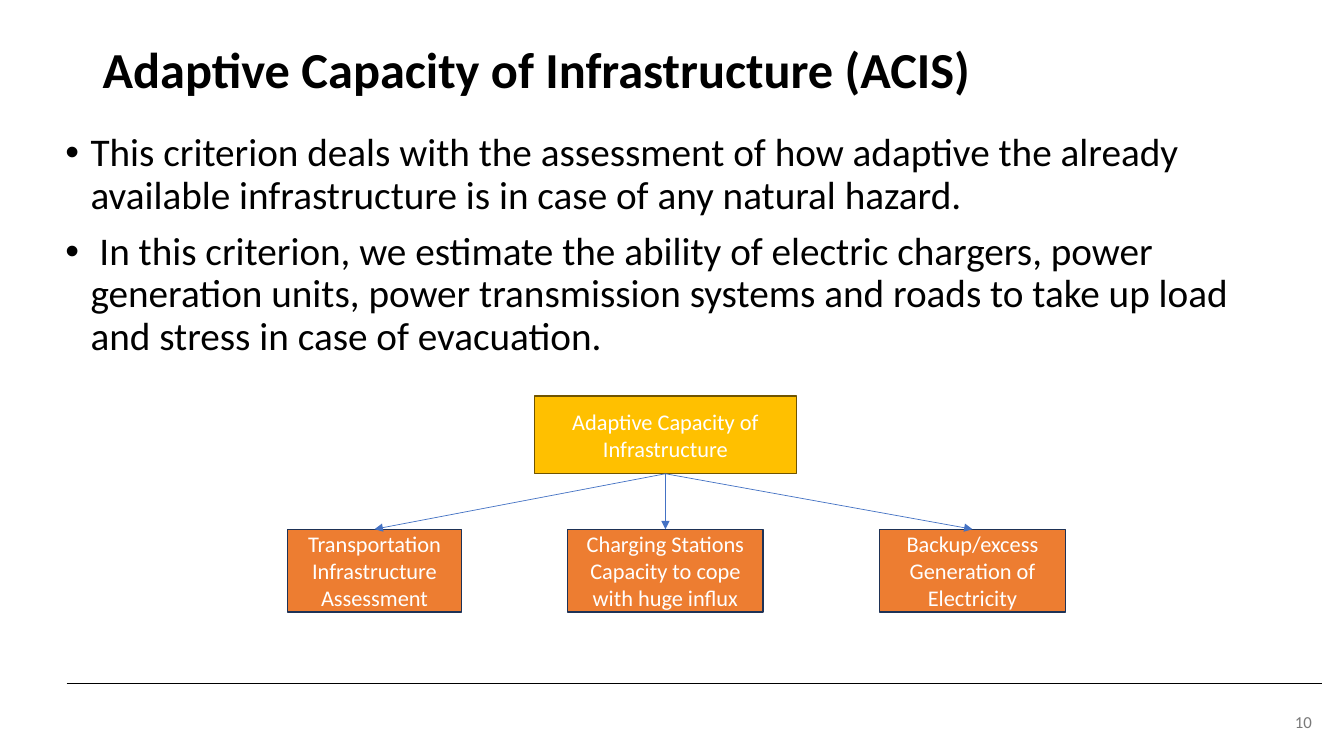
from dataclasses import dataclass

from lxml import etree
from pptx import Presentation
from pptx import util as u
from pptx.dml import color
from pptx.enum import shapes, text
from pptx.oxml import ns


@dataclass(frozen=True)
class Theme:
    font: str = "Calibri"
    ink: str = "000000"
    light: str = "FFFFFF"
    muted: str = "797979"
    root_fill: str = "FFC000"
    root_line: str = "705400"
    leaf_fill: str = "ED7D31"
    leaf_line: str = "1E3256"
    arrow: str = "4472C4"
    title_size: int = 36
    body_size: int = 28
    box_size: int = 16
    number_size: int = 12


THEME = Theme()
BULLETS = (
    "This criterion deals with the assessment of how adaptive the already "
    "available infrastructure is in case of any natural hazard.",
    " In this criterion, we estimate the ability of electric chargers, power "
    "generation units, power transmission systems and roads to take up load "
    "and stress in case of evacuation.",
)
LEAVES = (
    (2.85, 1.73, "Transportation Infrastructure Assessment"),
    (5.63, 1.94, "Charging Stations Capacity to cope with huge influx"),
    (8.72, 1.85, "Backup/excess Generation of Electricity"),
)


def rgb(value):
    return color.RGBColor.from_string(value)


def inches(values):
    return [u.Inches(value) for value in values]


def add_bullet(para):
    properties = para._p.get_or_add_pPr()
    properties.set("marL", str(u.Inches(0.25)))
    properties.set("indent", str(u.Inches(-0.25)))
    font = etree.SubElement(properties, ns.qn("a:buFont"))
    font.set("typeface", "Arial")
    mark = etree.SubElement(properties, ns.qn("a:buChar"))
    mark.set("char", "•")


def write_text(box, paragraphs, *, size, ink=THEME.ink, bold=False,
               align=text.PP_ALIGN.LEFT, anchor=text.MSO_ANCHOR.TOP,
               line_spacing=None, gap=0, bullets=False):
    frame = box.text_frame
    frame.word_wrap = True
    frame.vertical_anchor = anchor
    for index, content in enumerate(paragraphs):
        para = frame.add_paragraph() if index else frame.paragraphs[0]
        if bullets:
            add_bullet(para)
        para.alignment = align
        if line_spacing:
            para.line_spacing = line_spacing
        if index and gap:
            para.space_before = u.Pt(gap)
        span = para.add_run()
        span.text = content
        span.font.name = THEME.font
        span.font.size = u.Pt(size)
        span.font.bold = bold
        span.font.color.rgb = rgb(ink)


def add_text(page, area, paragraphs, **text_format):
    box = page.shapes.add_textbox(*inches(area))
    write_text(box, paragraphs, **text_format)


def add_box(page, area, label, fill, line):
    box = page.shapes.add_shape(shapes.MSO_SHAPE.RECTANGLE, *inches(area))
    box.shadow.inherit = False
    box.fill.solid()
    box.fill.fore_color.rgb = rgb(fill)
    box.line.color.rgb = rgb(line)
    box.line.width = u.Pt(1)
    write_text(box, [label], size=THEME.box_size, ink=THEME.light,
               align=text.PP_ALIGN.CENTER, anchor=text.MSO_ANCHOR.MIDDLE)
    return box


def add_line(page, ends, ink):
    line = page.shapes.add_connector(shapes.MSO_CONNECTOR.STRAIGHT, *inches(ends))
    line.line.color.rgb = rgb(ink)
    line.line.width = u.Pt(0.5)
    etree.SubElement(line._element.spPr, ns.qn("a:effectLst"))
    return line


def add_arrow(page, parent, child):
    arrow = add_line(page, (0, 0, 1, 1), THEME.arrow)
    arrow.begin_connect(parent, 2)
    arrow.end_connect(child, 0)
    head = etree.SubElement(arrow.line._get_or_add_ln(), ns.qn("a:tailEnd"))
    head.set("type", "triangle")


def add_hierarchy(page):
    root = add_box(page, (5.3, 3.93, 2.6, 0.77), "Adaptive Capacity of Infrastructure",
                   THEME.root_fill, THEME.root_line)
    leaves = [add_box(page, (left, 5.25, width, 0.82), label,
                      THEME.leaf_fill, THEME.leaf_line)
              for left, width, label in LEAVES]
    for leaf in leaves:
        add_arrow(page, root, leaf)


def main():
    deck = Presentation()
    deck.slide_width = u.Inches(13.33)
    deck.slide_height = u.Inches(7.5)
    page = deck.slides.add_slide(deck.slide_layouts[6])
    add_line(page, (0.66, 6.78, 13.11, 6.78), THEME.ink)
    add_text(page, (11.69, 6.96, 1.42, 0.4), ["10"], size=THEME.number_size,
             ink=THEME.muted, align=text.PP_ALIGN.RIGHT,
             anchor=text.MSO_ANCHOR.MIDDLE)
    add_text(page, (0.92, 0.4, 11.5, 0.94),
             ["Adaptive Capacity of Infrastructure (ACIS)"],
             size=THEME.title_size, bold=True, line_spacing=0.9)
    add_text(page, (0.55, 1.27, 12.15, 2.29), BULLETS, size=THEME.body_size,
             line_spacing=0.9, gap=10, bullets=True)
    add_hierarchy(page)
    deck.save("out.pptx")


if __name__ == "__main__":
    main()
